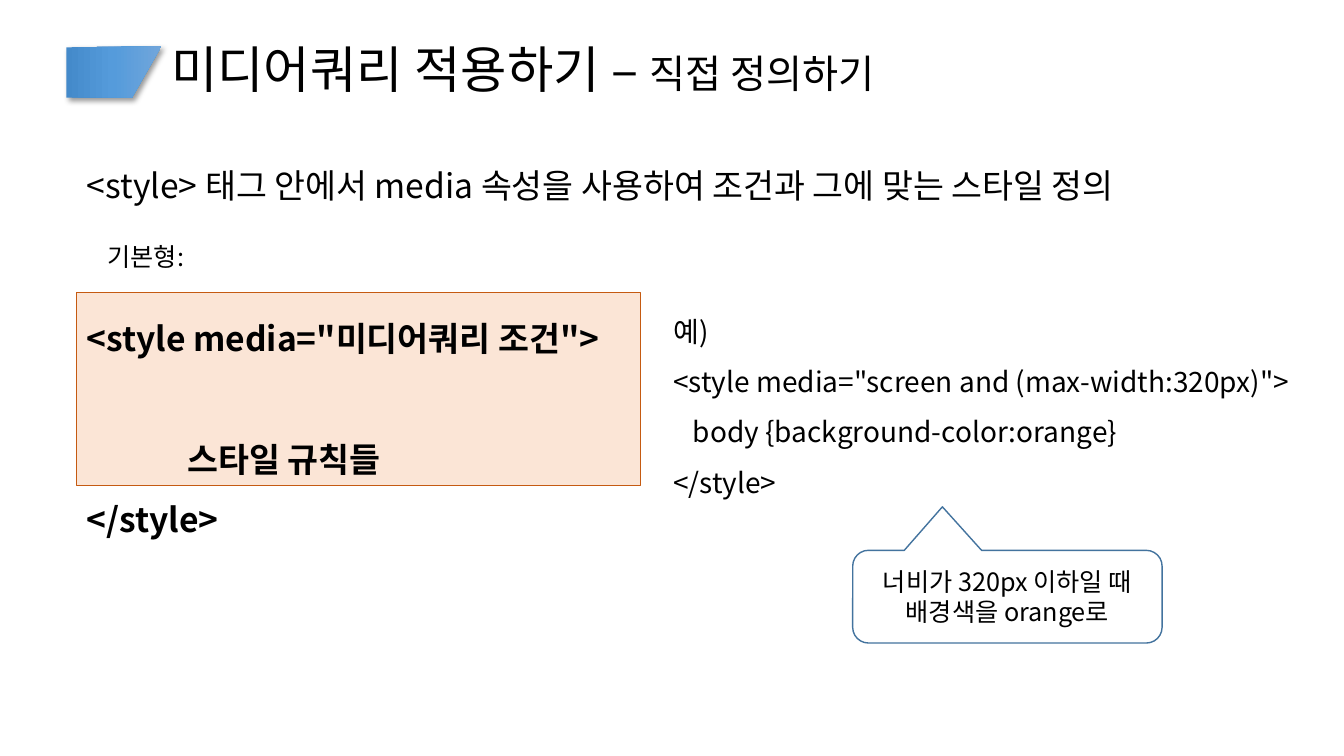
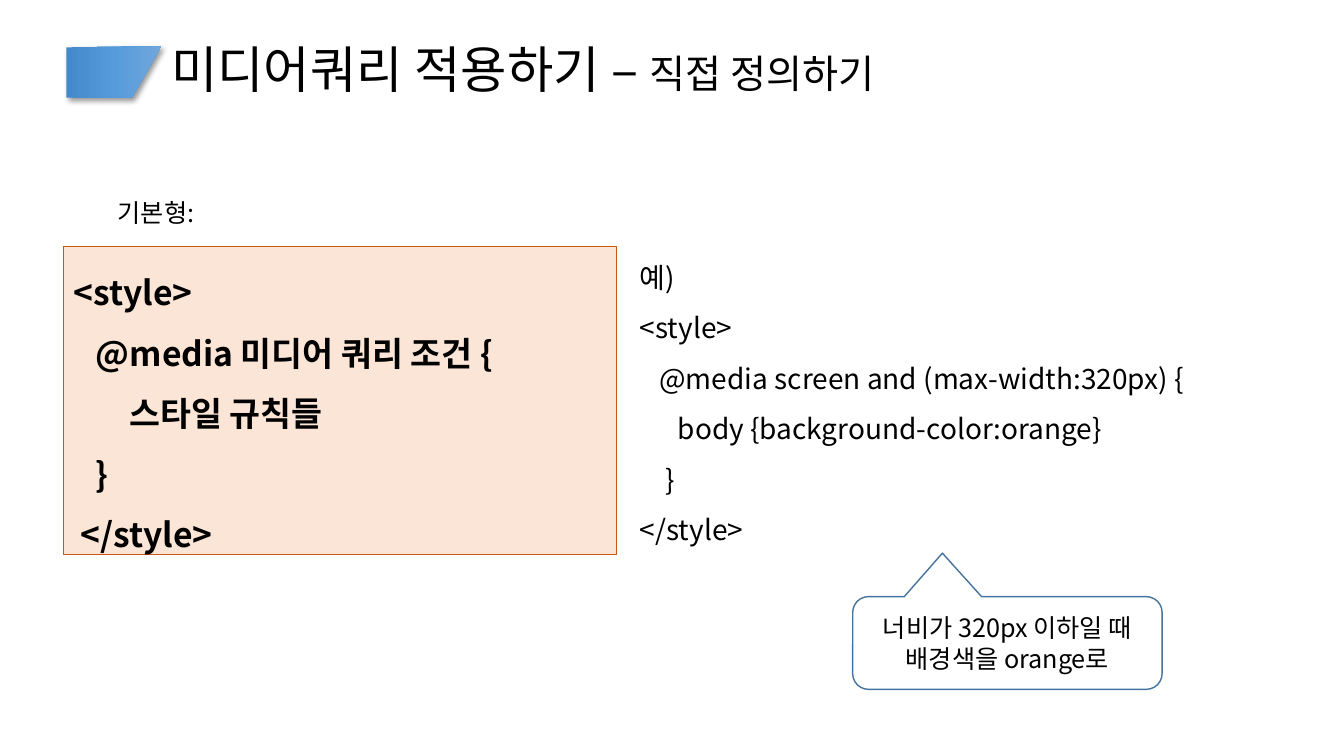
from dataclasses import dataclass

import pptx
import pptx.dml.color
import pptx.enum.shapes
import pptx.enum.text
import pptx.oxml
import pptx.oxml.ns
import pptx.util
from lxml import etree

Pt = pptx.util.Pt
Shapes = pptx.enum.shapes.MSO_SHAPE
Anchor = pptx.enum.text.MSO_ANCHOR
Align = pptx.enum.text.PP_ALIGN

# Shared style
FONT = "Noto Sans CJK KR"
BLACK = "000000"
CODE_FILL, CODE_LINE = "FBE5D6", "C55A11"
CALLOUT_LINE = "43739E"
BAND_STOPS = ((0, "448ACA"), (50, "559BDB"), (100, "71A6DB"))
BAND_CORNERS = ((47.5, 33.8), (115.2, 33.1), (94.3, 69.8), (47.5, 69.8))
TITLE = (("미디어쿼리 적용하기 – ", 36), ("직접 정의하기", 28))
CALLOUT_TEXT = "너비가 320px 이하일 때 배경색을 orange로"


@dataclass(frozen=True)
class Box:
    left: float
    top: float
    width: float
    height: float

    def lengths(self) -> tuple:
        return tuple(Pt(v) for v in (self.left, self.top, self.width, self.height))


@dataclass(frozen=True)
class Line:
    text: str
    indent: float = 0
    before: float = 0


@dataclass(frozen=True)
class Lesson:
    label: Box
    code: Box
    code_lines: tuple
    example: Box
    example_lines: tuple
    callout_top: float
    intro: str = ""


LESSONS = (
    Lesson(
        label=Box(69.8, 168.5, 80.6, 28.8),
        code=Box(54.7, 208.8, 402.5, 138.2),
        code_lines=(
            Line('<style media="미디어쿼리 조건">'),
            Line("스타일 규칙들", indent=72, before=43.2),
            Line("</style>"),
        ),
        example=Box(473.8, 208.8, 466.6, 152.6),
        example_lines=(
            Line("예)"),
            Line('<style media="screen and (max-width:320px)">'),
            Line("body {background-color:orange}", indent=14),
            Line("</style>"),
        ),
        callout_top=393.1,
        intro=" <style> 태그 안에서 media 속성을 사용하여 조건과 그에 맞는 스타일 정의",
    ),
    Lesson(
        label=Box(77, 137.5, 80.6, 28.8),
        code=Box(45.4, 176.4, 395.3, 219.6),
        code_lines=(
            Line("<style>"),
            Line("@media 미디어 쿼리 조건 {", indent=16),
            Line("스타일 규칙들", indent=40),
            Line("}", indent=16),
            Line("</style>", indent=5),
        ),
        example=Box(450, 170.6, 458.6, 225.4),
        example_lines=(
            Line("예)"),
            Line("<style>"),
            Line("@media screen and (max-width:320px) {", indent=14),
            Line("body {background-color:orange}", indent=27),
            Line("}", indent=18),
            Line("</style>"),
        ),
        callout_top=426.2,
    ),
)


def colour(value: str) -> pptx.dml.color.RGBColor:
    return pptx.dml.color.RGBColor.from_string(value)


# Text
def add_span(para, text: str, *, size: float, bold: bool = False) -> None:
    span = para.add_run()
    span.text = text
    span.font.size = Pt(size)
    span.font.bold = bold
    span.font.color.rgb = colour(BLACK)
    span.font.name = FONT
    east_asian = etree.SubElement(span.font._element, pptx.oxml.ns.qn("a:ea"))
    east_asian.set("typeface", FONT)


def write_lines(shape, lines: tuple, *, size: float, bold: bool = False,
                spacing: float = 1.0, align=Align.LEFT, anchor=Anchor.TOP) -> None:
    frame = shape.text_frame
    frame.word_wrap = True
    frame.vertical_anchor = anchor
    for number, line in enumerate(lines):
        para = frame.add_paragraph() if number else frame.paragraphs[0]
        para.alignment = align
        para.line_spacing = spacing
        para.space_before = Pt(line.before)
        if line.indent:
            properties = para._p.get_or_add_pPr()
            properties.set("marL", str(Pt(line.indent)))
            properties.set("indent", "0")
        add_span(para, line.text, size=size, bold=bold)


def add_text(page, box: Box, lines: tuple, **style) -> None:
    write_lines(page.shapes.add_textbox(*box.lengths()), lines, **style)


# Shapes
def add_panel(page, kind, box: Box, *, line: str, weight: float, fill: str = ""):
    panel = page.shapes.add_shape(kind, *box.lengths())
    panel.shadow.inherit = False
    if fill:
        panel.fill.solid()
        panel.fill.fore_color.rgb = colour(fill)
    else:
        panel.fill.background()
    panel.line.color.rgb = colour(line)
    panel.line.width = Pt(weight)
    return panel


def add_band(page) -> None:
    corners = [(Pt(x), Pt(y)) for x, y in BAND_CORNERS]
    builder = page.shapes.build_freeform(*corners[0], scale=1.0)
    builder.add_line_segments(corners[1:], close=True)
    band = builder.convert_to_shape()
    band.shadow.inherit = False
    band.line.fill.background()
    stops = "".join(
        f'<a:gs pos="{place * 1000}"><a:srgbClr val="{value}"/></a:gs>'
        for place, value in BAND_STOPS
    )
    namespace = pptx.oxml.ns.nsdecls("a")
    gradient = pptx.oxml.parse_xml(
        f'<a:gradFill {namespace} rotWithShape="1"><a:gsLst>{stops}</a:gsLst>'
        '<a:lin ang="0" scaled="0"/></a:gradFill>'
    )
    shadow = pptx.oxml.parse_xml(
        f'<a:outerShdw {namespace} blurRad="{Pt(4)}" dist="{Pt(3)}" dir="2700000" '
        f'algn="tl" rotWithShape="0"><a:srgbClr val="{BLACK}">'
        '<a:alpha val="40000"/></a:srgbClr></a:outerShdw>'
    )
    properties = band._element.spPr
    properties.find(pptx.oxml.ns.qn("a:custGeom")).addnext(gradient)
    properties.find(pptx.oxml.ns.qn("a:effectLst")).append(shadow)


def add_title(page) -> None:
    title = page.shapes.add_textbox(*Box(115.2, 23.8, 752.4, 55.4).lengths())
    frame = title.text_frame
    frame.word_wrap = True
    frame.vertical_anchor = Anchor.MIDDLE
    para = frame.paragraphs[0]
    para.line_spacing = 0.9
    for text, size in TITLE:
        add_span(para, text, size=size)


def add_callout(page, top: float) -> None:
    callout = add_panel(page, Shapes.ROUNDED_RECTANGULAR_CALLOUT,
                        Box(609.1, top, 221, 66.2), line=CALLOUT_LINE, weight=1)
    for number, value in enumerate((-0.21, -0.97, 0.17)):
        callout.adjustments[number] = value
    write_lines(callout, (Line(CALLOUT_TEXT),), size=18,
                align=Align.CENTER, anchor=Anchor.MIDDLE)


# Pages
def add_lesson(deck, lesson: Lesson) -> None:
    page = deck.slides.add_slide(deck.slide_layouts[6])
    add_band(page)
    add_title(page)
    if lesson.intro:
        add_text(page, Box(49.7, 100.1, 848.2, 51.1), (Line(lesson.intro),),
                 size=24, spacing=1.5)
    code = add_panel(page, Shapes.RECTANGLE, lesson.code,
                     line=CODE_LINE, weight=0.75, fill=CODE_FILL)
    code.text_frame.margin_right = Pt(0)
    write_lines(code, lesson.code_lines, size=24, bold=True, spacing=1.5)
    add_text(page, lesson.label, (Line("기본형:"),), size=18)
    add_text(page, lesson.example, lesson.example_lines, size=20, spacing=1.5)
    add_callout(page, lesson.callout_top)


def main() -> None:
    deck = pptx.Presentation()
    deck.slide_width, deck.slide_height = Pt(960), Pt(540)
    for lesson in LESSONS:
        add_lesson(deck, lesson)
    deck.save("out.pptx")


if __name__ == "__main__":
    main()
